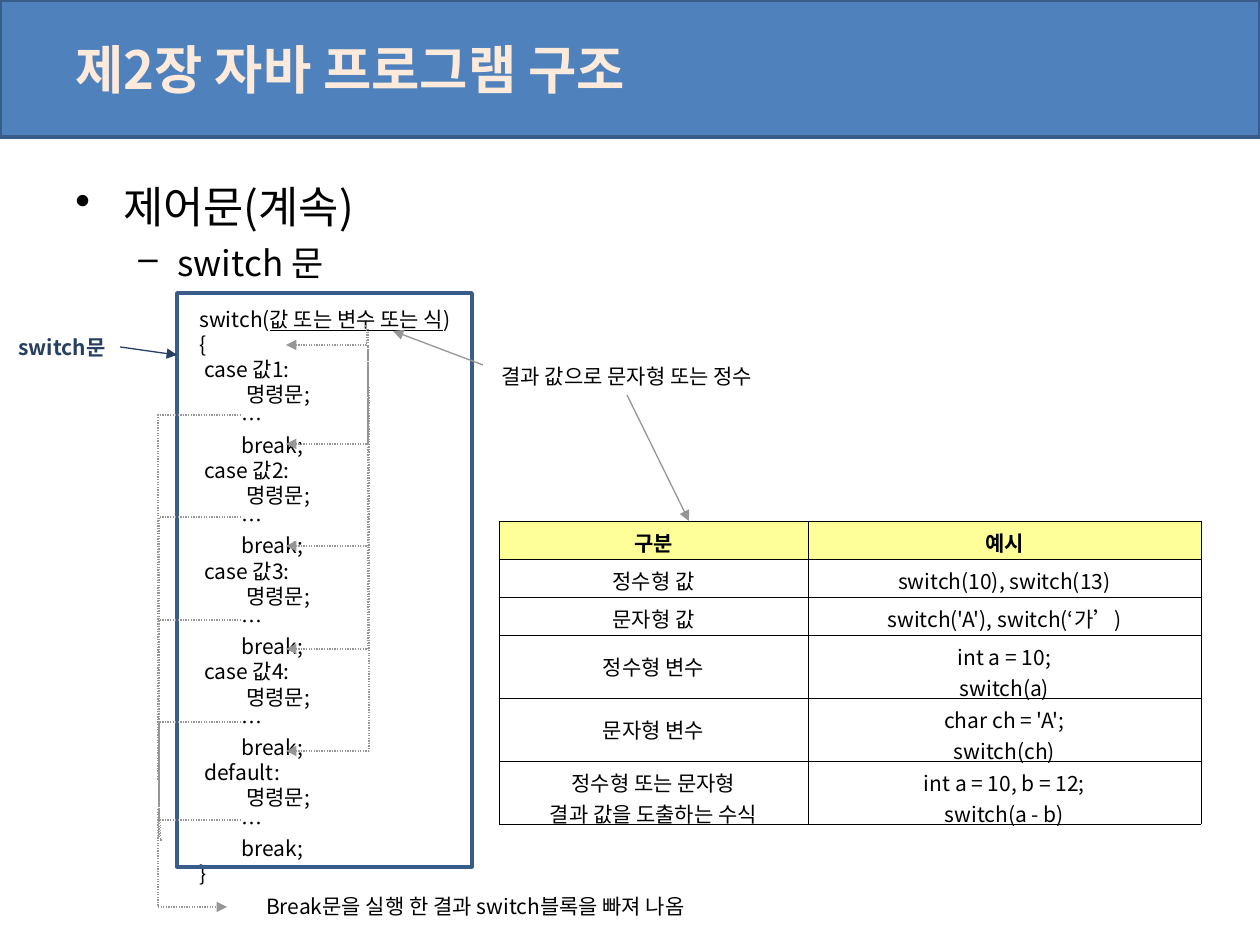
from pptx import Presentation
from pptx.dml.color import RGBColor
from pptx.enum.dml import MSO_LINE
from pptx.enum.shapes import MSO_CONNECTOR, MSO_SHAPE
from pptx.enum.text import MSO_ANCHOR, PP_ALIGN
from pptx.oxml.ns import qn
from pptx.util import Pt
from lxml.etree import SubElement

PX = 914400 // 126
THEME = {
    "font": "Noto Sans CJK KR",
    "banner": "4F81BD", "frame": "385D8A", "title": "FDEADA",
    "ink": "000000", "navy": "254061", "grey": "969696", "header": "FFFF99",
    "title_size": 30, "topic_size": 25, "subtopic_size": 20, "text_size": 12,
}


def write(para, text, size="text_size", color="ink", bold=False):
    span = para.add_run()
    span.text = text
    span.font.size = Pt(THEME[size])
    span.font.bold = bold
    span.font.name = THEME["font"]
    span.font.color.rgb = RGBColor.from_string(THEME[color])
    SubElement(span.font._element, qn("a:ea"), typeface=THEME["font"])
    return span


def connect(kind, points, color="grey", dotted=False, arrow=None):
    connector = page.shapes.add_connector(kind, *[value * PX for value in points])
    connector.line.width = Pt(0.75)
    connector.line.color.rgb = RGBColor.from_string(THEME[color])
    if dotted:
        connector.line.dash_style = MSO_LINE.ROUND_DOT
    if arrow:
        SubElement(connector.get_or_add_ln(), qn(f"a:{arrow}"), type="triangle")
    SubElement(connector.element.spPr, qn("a:effectLst"))
    return connector


deck = Presentation()
deck.slide_width, deck.slide_height = 1260 * PX, 945 * PX
page = deck.slides.add_slide(deck.slide_layouts[6])

banner = page.shapes.add_shape(MSO_SHAPE.RECTANGLE, 0, 0, 1260 * PX, 137 * PX)
banner.fill.solid()
banner.fill.fore_color.rgb = RGBColor.from_string(THEME["banner"])

title = page.shapes.add_textbox(63 * PX, -10 * PX, 1134 * PX, 158 * PX).text_frame
title.word_wrap = True
title.vertical_anchor = MSO_ANCHOR.MIDDLE
write(title.paragraphs[0], "제2장 자바 프로그램 구조", "title_size", "title", True)

outline = page.shapes.add_textbox(63 * PX, 174 * PX, 1134 * PX, 624 * PX).text_frame
outline.word_wrap = True
topics = [
    ("제어문(계속)", "topic_size", "•", 48, 48, 0),
    ("switch 문", "subtopic_size", "–", 102, 39, 5),
]
for index, (text, size, bullet, margin, hanging, gap) in enumerate(topics):
    para = outline.add_paragraph() if index else outline.paragraphs[0]
    para.space_before = Pt(gap)
    properties = para._p.get_or_add_pPr()
    properties.set("marL", str(margin * PX))
    properties.set("indent", str(-hanging * PX))
    SubElement(properties, qn("a:buChar"), char=bullet)
    write(para, text, size)

code_lines = [("{", 0)]
for label in ["case 값1:", "case 값2:", "case 값3:", "case 값4:", "default:"]:
    code_lines += [(label, 5), ("명령문;", 47), ("…", 42), ("break;", 42)]
code_lines.append(("}", 0))

code = page.shapes.add_textbox(187 * PX, 300 * PX, 291 * PX, 567 * PX).text_frame
code.word_wrap = False
para = code.paragraphs[0]
write(para, "switch(")
write(para, "값 또는 변수 또는 식").font.underline = True
write(para, ")")
for text, indent in code_lines:
    para = code.add_paragraph()
    para._p.get_or_add_pPr().set("marL", str(indent * PX))
    write(para, text)

frame = page.shapes.add_shape(MSO_SHAPE.RECTANGLE, 177 * PX, 293 * PX, 295 * PX, 574 * PX)
frame.fill.background()
for shape in (banner, frame):
    shape.shadow.inherit = False
    shape.line.width = Pt(2)
    shape.line.color.rgb = RGBColor.from_string(THEME["frame"])

labels = [
    ("결과 값으로 문자형 또는 정수", 487, 357, 280, "ink", False, PP_ALIGN.CENTER),
    ("switch문", 6, 328, 117, "navy", True, PP_ALIGN.LEFT),
    ("Break문을 실행 한 결과 switch블록을 빠져 나옴", 243, 887, 465, "ink", False, PP_ALIGN.CENTER),
]
for text, left, top, width, color, bold, alignment in labels:
    box = page.shapes.add_textbox(left * PX, top * PX, width * PX, 38 * PX).text_frame
    box.word_wrap = False
    box.paragraphs[0].alignment = alignment
    write(box.paragraphs[0], text, color=color, bold=bold)

connect(MSO_CONNECTOR.STRAIGHT, (483, 365, 393, 331), arrow="tailEnd")
connect(MSO_CONNECTOR.STRAIGHT, (120, 347, 177, 355), "navy", arrow="tailEnd")
connect(MSO_CONNECTOR.STRAIGHT, (158, 809, 158, 907), dotted=True)
connect(MSO_CONNECTOR.STRAIGHT, (158, 907, 227, 907), dotted=True, arrow="tailEnd")

jumps = [(364, 326, 345), (368, 328, 444), (368, 345, 546), (368, 365, 649), (369, 387, 751)]
exits = [(163, 840, 820), (159, 838, 722), (159, 820, 620), (159, 800, 517), (158, 780, 415)]
for routes, code_x, arrow in ((jumps, 286, "headEnd"), (exits, 241, None)):
    for index, (rail_x, rail_y, code_y) in enumerate(routes):
        elbow = connect(MSO_CONNECTOR.ELBOW, (code_x, code_y, rail_x, rail_y), dotted=True, arrow=arrow)
        geometry = elbow.element.spPr.find(qn("a:prstGeom"))
        bend = 100000 if index else 103300
        SubElement(geometry.find(qn("a:avLst")), qn("a:gd"), name="adj1", fmla=f"val {bend}")

rows = [
    ("구분", "예시"),
    ("정수형 값", "switch(10), switch(13)"),
    ("문자형 값", "switch('A'), switch(‘가’)"),
    ("정수형 변수", "int a = 10;\nswitch(a)"),
    ("문자형 변수", "char ch = 'A';\nswitch(ch)"),
    ("정수형 또는 문자형\n결과 값을 도출하는 수식", "int a = 10, b = 12;\nswitch(a - b)"),
]
table = page.shapes.add_table(len(rows), 2, 499 * PX, 521 * PX, 702 * PX, 303 * PX).table
table.first_row = table.horz_banding = False
table.columns[0].width, table.columns[1].width = 309 * PX, 393 * PX
for row_index, texts in enumerate(rows):
    table.rows[row_index].height = (63 if "\n" in texts[1] else 38) * PX
    for column_index, text in enumerate(texts):
        cell = table.cell(row_index, column_index)
        cell.vertical_anchor = MSO_ANCHOR.MIDDLE
        for side in ("lnL", "lnR", "lnT", "lnB"):
            border = SubElement(cell._tc.get_or_add_tcPr(), qn(f"a:{side}"), w=str(Pt(0.45)))
            SubElement(SubElement(border, qn("a:solidFill")), qn("a:srgbClr"), val=THEME["ink"])
        if row_index == 0:
            cell.fill.solid()
            cell.fill.fore_color.rgb = RGBColor.from_string(THEME["header"])
        else:
            cell.fill.background()
        for index, line in enumerate(text.split("\n")):
            para = cell.text_frame.add_paragraph() if index else cell.text_frame.paragraphs[0]
            para.alignment = PP_ALIGN.CENTER
            write(para, line, bold=row_index == 0)

connect(MSO_CONNECTOR.STRAIGHT, (627, 395, 689, 521), arrow="tailEnd")

deck.save("out.pptx")
